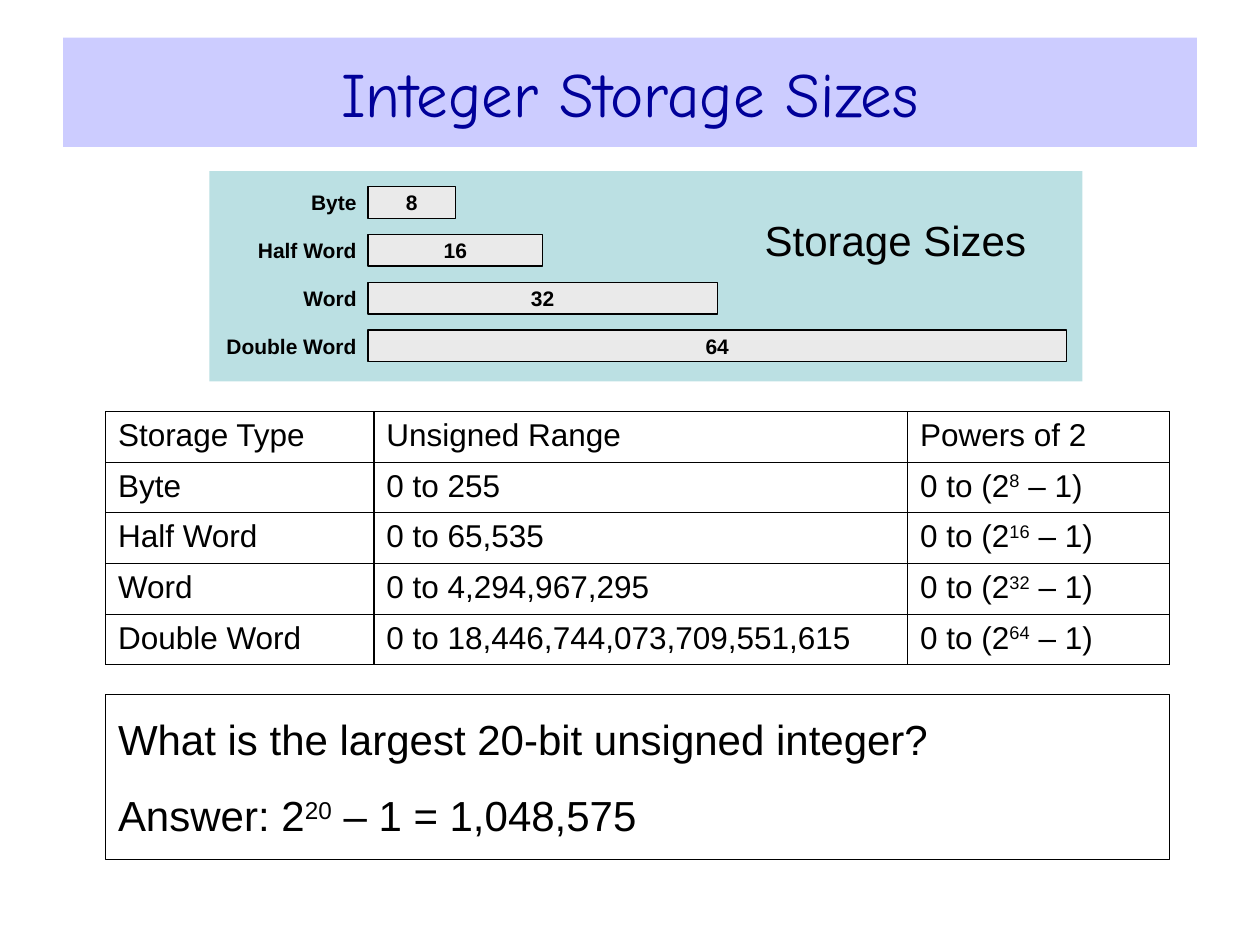
import dataclasses

import pptx
import pptx.dml.color
import pptx.enum.shapes
import pptx.enum.text
import pptx.oxml
import pptx.oxml.ns
import pptx.util

Cm = pptx.util.Cm
Pt = pptx.util.Pt
ALIGN = pptx.enum.text.PP_ALIGN
ANCHOR = pptx.enum.text.MSO_ANCHOR
RECT = pptx.enum.shapes.MSO_SHAPE.RECTANGLE


@dataclasses.dataclass(frozen=True)
class Theme:
    ink: str = "000000"
    title_ink: str = "000099"
    title_fill: str = "CCCCFF"
    panel: str = "BBE0E3"
    bar: str = "EAEAEA"
    font: str = "Arial"
    title_font: str = "Comic Neue"
    title_size: int = 36
    large: int = 24
    body: int = 18
    small: int = 12
    line: float = 0.75


THEME = Theme()

STORAGE = [
    ("Byte", 8, "255"),
    ("Half Word", 16, "65,535"),
    ("Word", 32, "4,294,967,295"),
    ("Double Word", 64, "18,446,744,073,709,551,615"),
]


def rgb(color):
    return pptx.dml.color.RGBColor.from_string(color)


def write(tf, *lines, size, color=THEME.ink, font=THEME.font, bold=False,
          align=ALIGN.LEFT, before=0, anchor=ANCHOR.TOP, inset=(0.25, 0.13)):
    """Write lines of text; parts between carets are superscript."""
    tf.word_wrap = True
    tf.vertical_anchor = anchor
    tf.margin_left = tf.margin_right = Cm(inset[0])
    tf.margin_top = tf.margin_bottom = Cm(inset[1])
    for i, line in enumerate(lines):
        p = tf.paragraphs[0] if i == 0 else tf.add_paragraph()
        p.alignment = align
        p.space_before = Pt(before)
        for j, part in enumerate(line.split("^")):
            r = p.add_run()
            r.text = part
            r.font.size = Pt(size)
            r.font.name = font
            r.font.bold = bold
            r.font.color.rgb = rgb(color)
            if j % 2:
                r.font._element.set("baseline", "30000")


def add_title(s, text):
    sp = s.shapes.title
    sp.left, sp.top, sp.width, sp.height = Cm(1.27), Cm(0.76), Cm(22.86), Cm(2.2)
    sp.fill.solid()
    sp.fill.fore_color.rgb = rgb(THEME.title_fill)
    write(sp.text_frame, text, size=THEME.title_size, color=THEME.title_ink,
          font=THEME.title_font, align=ALIGN.CENTER, anchor=ANCHOR.MIDDLE)


def add_box(shapes, x, y, w, h, fill=None, line=None):
    sp = shapes.add_shape(RECT, Cm(x), Cm(y), Cm(w), Cm(h))
    sp.shadow.inherit = False
    if fill:
        sp.fill.solid()
        sp.fill.fore_color.rgb = rgb(fill)
    else:
        sp.fill.background()
    if line:
        sp.line.color.rgb = rgb(line)
        sp.line.width = Pt(THEME.line)
    else:
        sp.line.fill.background()
    return sp


def add_label(shapes, x, y, w, h, text, **fmt):
    sp = shapes.add_textbox(Cm(x), Cm(y), Cm(w), Cm(h))
    write(sp.text_frame, text, **fmt)


def add_size_bars(s):
    left, top, pitch, height, bit = 7.42, 3.76, 0.965, 0.64, 0.22
    fmt = dict(size=THEME.small, bold=True, anchor=ANCHOR.MIDDLE, inset=(0, 0))
    shapes = s.shapes.add_group_shape().shapes
    add_box(shapes, 4.22, 3.45, 17.6, 4.24, fill=THEME.panel)
    for i, (name, bits, _) in enumerate(STORAGE):
        y = top + i * pitch
        add_label(shapes, 4.22, y, 2.97, height, name, align=ALIGN.RIGHT, **fmt)
        bar = add_box(shapes, left, y, bits * bit, height, THEME.bar, THEME.ink)
        write(bar.text_frame, str(bits), align=ALIGN.CENTER, **fmt)


def set_borders(cell):
    tc_pr = cell._tc.get_or_add_tcPr()
    for i, side in enumerate(("lnL", "lnR", "lnT", "lnB")):
        tc_pr.insert(i, pptx.oxml.parse_xml(
            f'<a:{side} {pptx.oxml.ns.nsdecls("a")} w="{Pt(THEME.line)}">'
            f'<a:solidFill><a:srgbClr val="{THEME.ink}"/></a:solidFill></a:{side}>'))


def add_range_table(s):
    rows = [("Storage Type", "Unsigned Range", "Powers of 2")]
    rows += [(name, f"0 to {top}", f"0 to (2^{bits}^ – 1)")
             for name, bits, top in STORAGE]
    widths, height = (5.41, 10.76, 5.28), 1.02
    table = s.shapes.add_table(len(rows), len(widths), Cm(2.13), Cm(8.3),
                               Cm(sum(widths)), Cm(height * len(rows))).table
    table.first_row = table.horz_banding = False
    for col, width in zip(table.columns, widths):
        col.width = Cm(width)
    for i, row in enumerate(rows):
        table.rows[i].height = Cm(height)
        for j, text in enumerate(row):
            cell = table.cell(i, j)
            cell.fill.background()
            set_borders(cell)
            cell.margin_left = cell.margin_right = Cm(0.25)
            cell.margin_top = cell.margin_bottom = Cm(0.13)
            write(cell.text_frame, text, size=THEME.body, before=9)


def add_question(s):
    sp = add_box(s.shapes, 2.13, 14, 21.45, 3.33, line=THEME.ink)
    write(sp.text_frame, "What is the largest 20-bit unsigned integer?",
          "Answer: 2^20^ – 1 = 1,048,575",
          size=THEME.large, before=15, inset=(0.25, 0.38))


def main():
    prs = pptx.Presentation()
    prs.slide_width, prs.slide_height = Cm(25.4), Cm(19.05)
    s = prs.slides.add_slide(prs.slide_layouts[5])
    add_title(s, "Integer Storage Sizes")
    add_question(s)
    add_range_table(s)
    add_size_bars(s)
    add_label(s.shapes, 15.09, 3.94, 5.92, 1.78, "Storage Sizes", size=THEME.large,
              align=ALIGN.CENTER, before=15, inset=(0, 0.38))
    prs.save("out.pptx")


if __name__ == "__main__":
    main()
